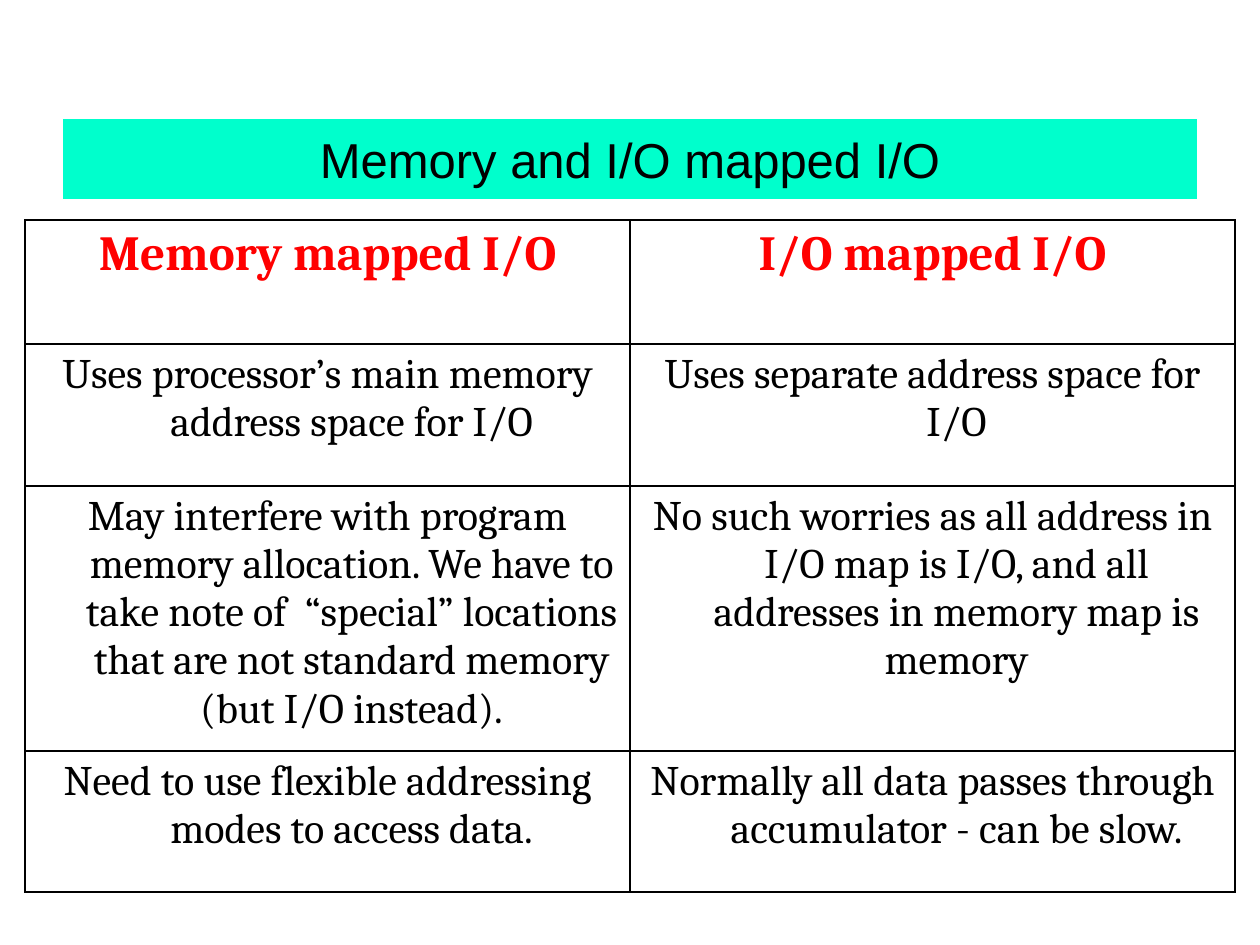
"""Build a slide comparing memory mapped and I/O mapped I/O."""
from lxml import etree
from pptx import Presentation, util as u
from pptx.dml.color import RGBColor
from pptx.enum import text
from pptx.oxml.ns import qn


def px(n):
    return u.Emu(round(n * 914400 / 126))


def style(para, words, font, size, color, bold=False):
    para.alignment = text.PP_ALIGN.CENTER
    run = para.add_run()
    run.text = words
    run.font.name = font
    run.font.size = u.Pt(size)
    run.font.bold = bold
    run.font.color.rgb = RGBColor.from_string(color)


rows = [
    (124, "Memory mapped I/O", "I/O mapped I/O"),
    (142, "Uses processor’s main memory address space for I/O",
     "Uses separate address space for I/O"),
    (265, "May interfere with program memory allocation. We have to take note of  "
     "“special” locations that are not standard memory (but I/O instead).",
     "No such worries as all address in I/O map is I/O, and all addresses in "
     "memory map is memory"),
    (141, "Need to use flexible addressing modes to access data.",
     "Normally all data passes through accumulator - can be slow."),
]

prs = Presentation()
prs.slide_width, prs.slide_height = px(1260), px(945)
slide = prs.slides.add_slide(prs.slide_layouts[5])

title = slide.shapes.title
title.left, title.top, title.width, title.height = px(63), px(119), px(1134), px(80)
title.fill.solid()
title.fill.fore_color.rgb = RGBColor.from_string("00FFCC")
title.text_frame.vertical_anchor = text.MSO_ANCHOR.MIDDLE
style(title.text_frame.paragraphs[0], "Memory and I/O mapped I/O", "Arial", 28, "000000")

high = sum(row[0] for row in rows)
table = slide.shapes.add_table(len(rows), 2, px(25), px(220), px(1210), px(high)).table
table.first_row = table.horz_banding = False
for r, (tall, *words) in enumerate(rows):
    table.rows[r].height = px(tall)
    for c, line in enumerate(words):
        cell = table.cell(r, c)
        para = cell.text_frame.paragraphs[0]
        if r == 0:
            style(para, line, "Cambria", 28, "FF0000", True)
        else:
            style(para, line, "Cambria", 24, "000000")
        props = para._p.get_or_add_pPr()
        props.set("marL", str(px(48)))
        props.set("indent", str(px(-48)))
        box = cell._tc.get_or_add_tcPr()
        for side in "LRTB":
            edge = etree.SubElement(box, qn(f"a:ln{side}"), w=str(u.Pt(1)))
            fill = etree.SubElement(edge, qn("a:solidFill"))
            etree.SubElement(fill, qn("a:srgbClr"), val="000000")
        cell.fill.background()

prs.save("out.pptx")
